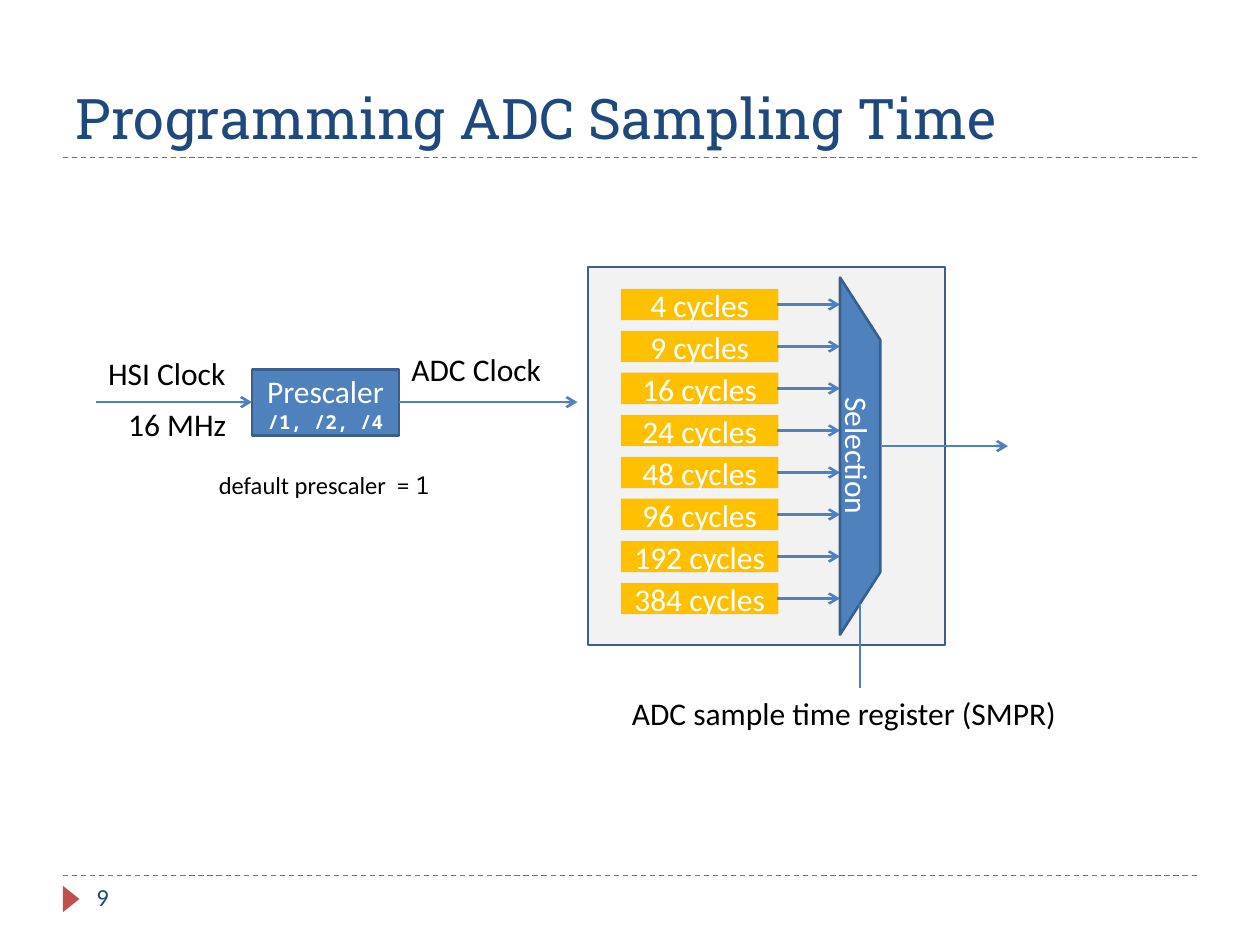
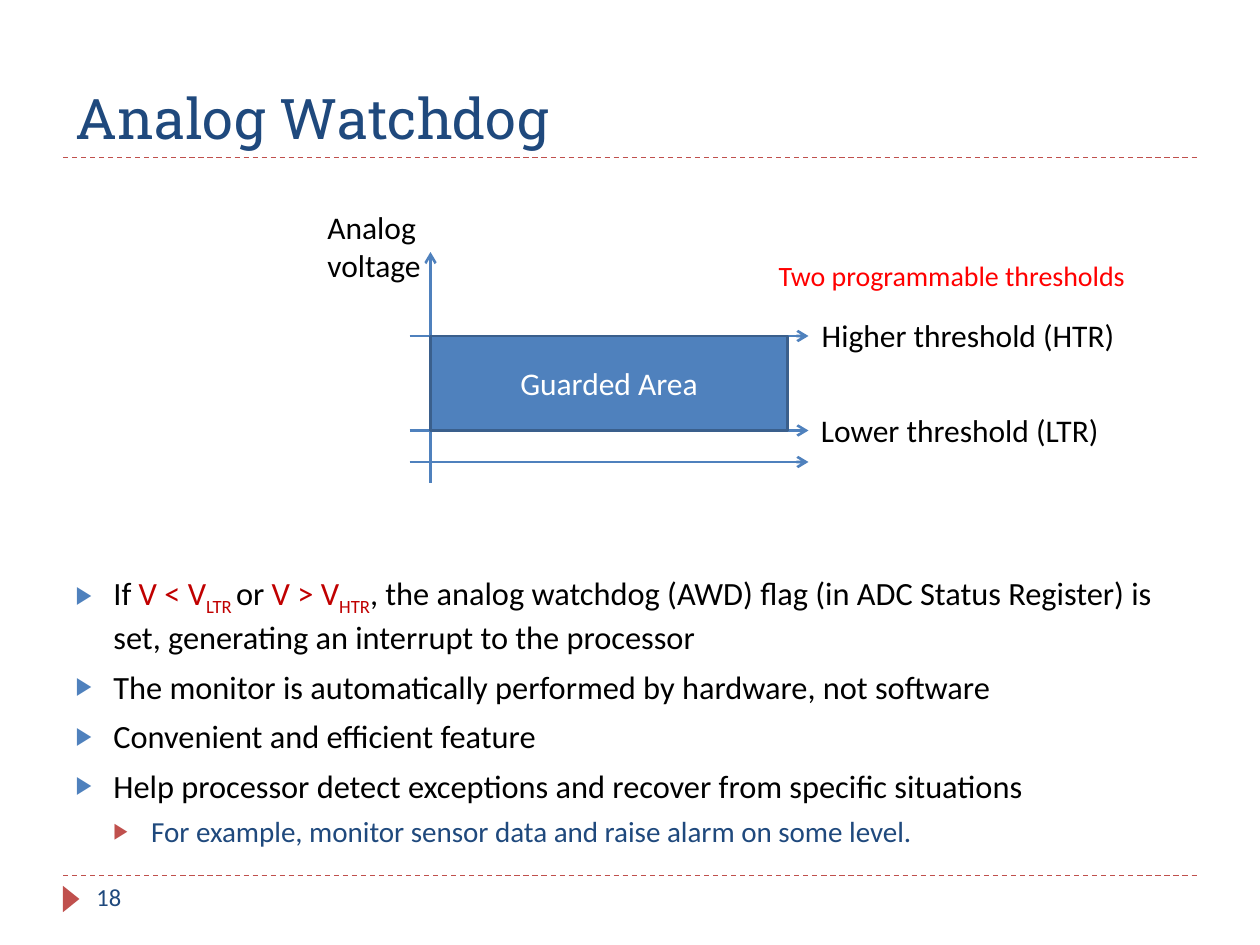
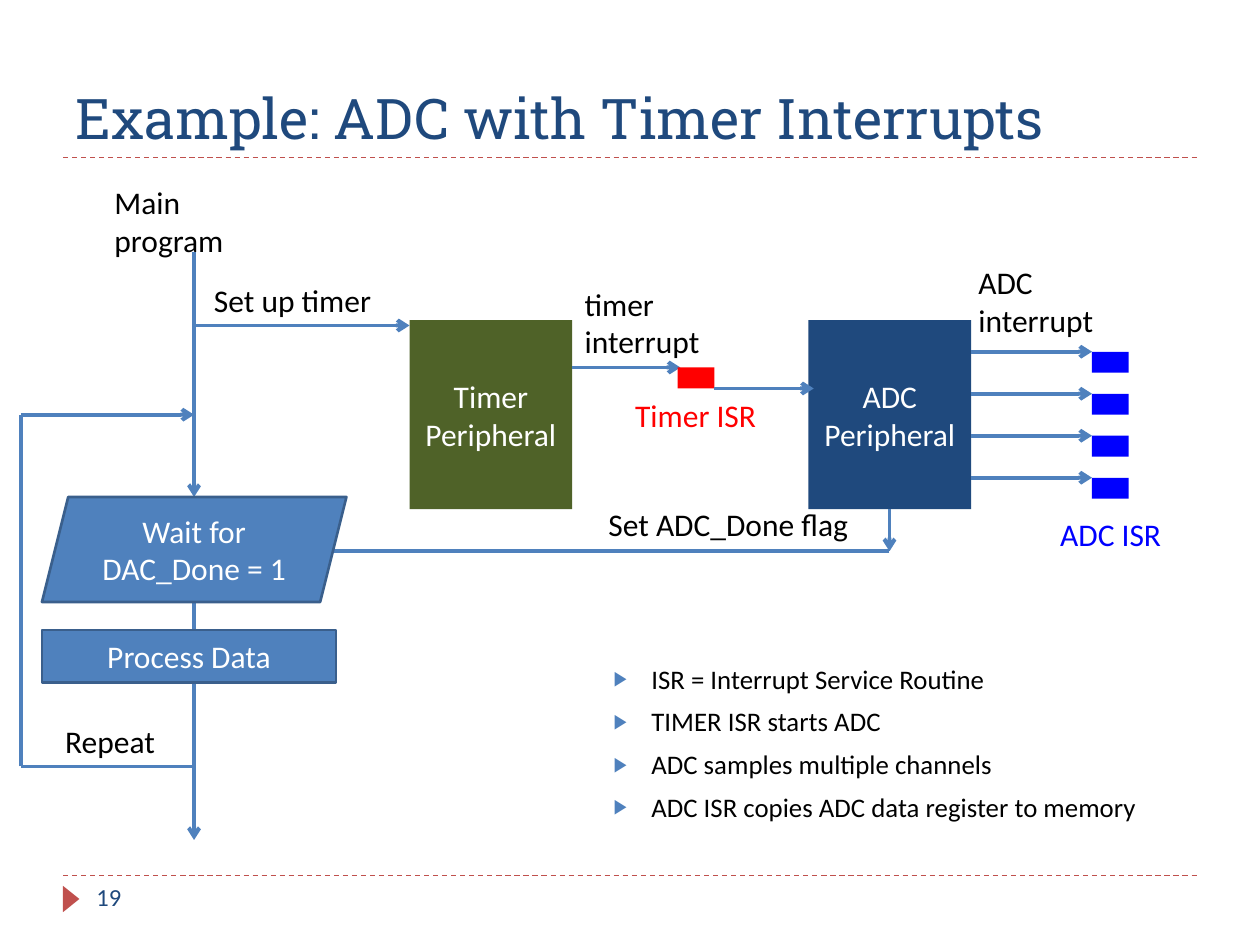
from dataclasses import dataclass

from lxml.etree import SubElement
from pptx import Presentation
from pptx.dml.color import RGBColor
from pptx.enum.dml import MSO_LINE
from pptx.enum.shapes import MSO_CONNECTOR, MSO_SHAPE
from pptx.enum.text import MSO_ANCHOR, MSO_AUTO_SIZE, PP_ALIGN
from pptx.oxml.ns import qn
from pptx.util import Pt


@dataclass(frozen=True)
class Theme:
    # Colours
    navy: str = "1F497D"
    blue: str = "4F81BD"
    edge: str = "3A5F8C"
    brick: str = "C0504D"
    crimson: str = "C00000"
    red: str = "FF0000"
    isr_blue: str = "0000FF"
    gold: str = "FFC000"
    olive: str = "4F6228"
    panel: str = "F2F2F2"
    black: str = "000000"
    white: str = "FFFFFF"
    # Fonts and type sizes
    sans: str = "Calibri"
    slab: str = "Roboto Slab"
    mono: str = "Noto Sans Mono"
    title: float = 32
    label: float = 18
    remark: float = 16
    small: float = 14
    code: float = 11
    # Line widths
    rule: float = 0.75
    thin: float = 1.5
    thick: float = 2.25


T = Theme()
TITLE_AND_BODY, TITLE_ONLY = 1, 5


def rgb(colour):
    return RGBColor.from_string(colour)


def style(font, size, colour, name=T.sans):
    font.name, font.size = name, Pt(size)
    font.color.rgb = rgb(colour)


def place(shape, left, top, width, height):
    shape.left, shape.top = Pt(left), Pt(top)
    shape.width, shape.height = Pt(width), Pt(height)


# --- Elements ---

def add_line(slide, x1, y1, x2, y2, colour=T.blue, width=T.thin, arrow=False, dash=None):
    link = slide.shapes.add_connector(MSO_CONNECTOR.STRAIGHT, Pt(x1), Pt(y1), Pt(x2), Pt(y2))
    link.line.color.rgb = rgb(colour)
    link.line.width = Pt(width)
    if dash:
        link.line.dash_style = dash
    properties = link._element.spPr
    if arrow:
        SubElement(properties.find(qn("a:ln")), qn("a:tailEnd"), type="arrow")
    SubElement(properties, qn("a:effectLst"))


def add_arrow(slide, x1, y1, x2, y2, width=T.thin):
    add_line(slide, x1, y1, x2, y2, width=width, arrow=True)


def add_block(slide, left, top, width, height, fill=T.blue, text="", edge=None,
              kind=MSO_SHAPE.RECTANGLE):
    block = slide.shapes.add_shape(kind, Pt(left), Pt(top), Pt(width), Pt(height))
    block.shadow.inherit = False
    block.fill.solid()
    block.fill.fore_color.rgb = rgb(fill)
    if edge:
        block.line.color.rgb = rgb(edge)
        block.line.width = Pt(T.thin)
    else:
        block.line.fill.background()
    if text:
        block.text_frame.text = text
        block.text_frame.vertical_anchor = MSO_ANCHOR.MIDDLE
        for paragraph in block.text_frame.paragraphs:
            paragraph.alignment = PP_ALIGN.CENTER
            style(paragraph.font, T.label, T.white)
    return block


def add_label(slide, text, left, top, width, height=28.8, size=T.label, colour=T.black,
              align=PP_ALIGN.LEFT):
    label = slide.shapes.add_textbox(Pt(left), Pt(top), Pt(width), Pt(height))
    label.text_frame.word_wrap = True
    paragraph = label.text_frame.paragraphs[0]
    paragraph.text = text
    paragraph.alignment = align
    style(paragraph.font, size, colour)
    return paragraph


def add_bullets(slide, bounds, items, sizes):
    """Each item is (level, runs); each run is (text, colour, is_subscript)."""
    body = slide.placeholders[1]
    place(body, *bounds)
    frame = body.text_frame
    frame.auto_size = MSO_AUTO_SIZE.NONE
    text_colours, marker_colours = (T.black, T.navy), (T.blue, T.brick)
    for index, (level, runs) in enumerate(items):
        paragraph = frame.paragraphs[0] if index == 0 else frame.add_paragraph()
        paragraph.level = level
        paragraph.space_before = Pt(6 - level)
        style(paragraph.font, sizes[level], text_colours[level])
        mark_bullet(paragraph, level, marker_colours[level])
        for text, colour, is_subscript in runs:
            run = paragraph.add_run()
            run.text = text
            if colour:
                run.font.color.rgb = rgb(colour)
            if is_subscript:
                run._r.get_or_add_rPr().set("baseline", "-25000")


def mark_bullet(paragraph, level, colour):
    properties = paragraph._p.get_or_add_pPr()
    indent = Pt(21.6)
    properties.set("marL", str(indent * (level + 1)))
    properties.set("indent", str(-indent))
    defaults = properties.find(qn("a:defRPr"))
    marker = SubElement(properties, qn("a:buClr"))
    SubElement(marker, qn("a:srgbClr"), val=colour)
    size = SubElement(properties, qn("a:buSzPct"), val="76000")
    glyph = SubElement(properties, qn("a:buChar"), char="▶")
    for part in (marker, size, glyph):
        defaults.addprevious(part)


def plain(text, level=0):
    return level, [(text, None, False)]


def start_slide(deck, layout, title, number):
    slide = deck.slides.add_slide(deck.slide_layouts[layout])
    # Rules and page marker
    for y in (500.4, 90):
        add_line(slide, 36, y, 684, y, T.brick, T.rule, dash=MSO_LINE.DASH)
    marker = add_block(slide, 33.1, 509, 15.1, 9.4, T.brick, kind=MSO_SHAPE.ISOSCELES_TRIANGLE)
    marker.rotation = 90
    add_label(slide, number, 48, 500.4, 156, size=T.small, colour=T.navy)
    # Title
    heading = slide.shapes.title
    place(heading, 36, 12.2, 648, 77.8)
    heading.text_frame.auto_size = MSO_AUTO_SIZE.NONE
    heading.text_frame.vertical_anchor = MSO_ANCHOR.BOTTOM
    paragraph = heading.text_frame.paragraphs[0]
    paragraph.text = title
    paragraph.alignment = PP_ALIGN.LEFT
    style(paragraph.font, T.title, T.navy, T.slab)
    return slide


# --- Slides ---

def build_sampling_time(deck):
    slide = start_slide(deck, TITLE_ONLY, "Programming ADC Sampling Time", "9")
    add_block(slide, 336, 152.7, 204, 216, T.panel, edge=T.edge)

    # Clock path
    prescaler = add_block(slide, 144, 211, 84, 38, text="Prescaler\n/1, /2, /4", edge=T.edge)
    divisors = prescaler.text_frame.paragraphs[1].font
    style(divisors, T.code, T.white, T.mono)
    divisors.bold = True
    add_arrow(slide, 54.7, 229.8, 144, 229.8)
    add_arrow(slide, 228, 229.8, 330, 229.8)
    add_label(slide, "HSI Clock", 54.7, 198.7, 89.3)
    add_label(slide, "16 MHz", 66.2, 228.2, 72.7)
    add_label(slide, "ADC Clock", 228, 196.6, 101.5)
    default = add_label(slide, "default prescaler  = ", 118, 265, 136, 24.5, T.small)
    factor = default.add_run()
    factor.text = "1"
    factor.font.name = T.mono

    # Sampling times feeding the selector
    for row, cycles in enumerate((4, 9, 16, 24, 48, 96, 192, 384)):
        top = 165 + 24 * row
        add_block(slide, 354.8, top, 90, 18, T.gold, f"{cycles} cycles")
        add_arrow(slide, 444, top + 9, 480, top + 9)
    selector = add_block(slide, 389.5, 249.1, 204, 23, text="Selection", edge=T.edge,
                         kind=MSO_SHAPE.TRAPEZOID)
    selector.adjustments[0] = 1.55
    selector.rotation = 90
    add_arrow(slide, 504, 254.9, 576, 254.9)
    add_line(slide, 491.5, 393, 491.5, 345)
    add_label(slide, "ADC sample time register (SMPR)", 354, 393, 274)


def build_watchdog(deck):
    slide = start_slide(deck, TITLE_AND_BODY, "Analog Watchdog", "18")
    add_bullets(slide, (36, 324, 648, 142.6), [
        (0, [("If ", None, False), ("V < V", T.crimson, False), ("LTR ", T.crimson, True),
             ("or ", None, False), ("V > V", T.crimson, False), ("HTR", T.crimson, True),
             (", the analog watchdog (AWD) flag (in ADC Status Register) is set, "
              "generating an interrupt to the processor", None, False)]),
        plain("The monitor is automatically performed by hardware, not software"),
        plain("Convenient and efficient feature"),
        plain("Help processor detect exceptions and recover from specific situations"),
        plain("For example, monitor sensor data and raise alarm on some level.", 1),
    ], (18.5, 16.6))

    # Axes, thresholds and guarded band
    high, low, time_axis = 192, 246, 264
    for y in (time_axis, low, high):
        add_arrow(slide, 234, y, 462, y)
    add_arrow(slide, 246, 276, 246, 144)
    add_block(slide, 246, high, 204, low - high, text="Guarded Area", edge=T.edge)
    add_label(slide, "Analog\vvoltage", 180, 115.2, 121.7)
    add_label(slide, "Higher threshold (HTR)", 462.5, high - 14.8, 191.5)
    add_label(slide, "Lower threshold (LTR)", 462, low - 14.8, 183)
    add_label(slide, "Two programmable thresholds", 437.8, 144, 214.6, 26.6, T.remark, T.red)


def build_timer_interrupts(deck):
    slide = start_slide(deck, TITLE_AND_BODY, "Example: ADC with Timer Interrupts", "19")
    add_bullets(slide, (343.4, 375, 330, 95.8), [
        plain("ISR = Interrupt Service Routine"),
        plain("TIMER ISR starts ADC"),
        plain("ADC samples multiple channels"),
        plain("ADC ISR copies ADC data register to memory"),
    ], (15.3,))
    main_x, loop_x, flag_x = 110.9, 12, 508.3

    # Peripherals
    add_block(slide, 234, 183, 93, 108, T.olive, "Timer\nPeripheral")
    add_block(slide, 462, 183, 93, 108, T.navy, "ADC\nPeripheral")

    # Interrupts and their service routines
    add_arrow(slide, main_x, 186, 234, 186, T.thick)
    add_arrow(slide, 327, 210, 388.8, 210, T.thick)
    add_block(slide, 387.2, 210, 21, 12, T.red)
    add_arrow(slide, 408.2, 222, 465, 222, T.thick)
    for channel in range(4):
        y = 201 + 24 * channel
        add_arrow(slide, 555, y, 624, y, T.thick)
        add_block(slide, 624, y, 21, 12, T.isr_blue)

    # Done flag back to the main program
    add_arrow(slide, flag_x, 315, 113.8, 315, T.thick)
    add_arrow(slide, flag_x, 291, flag_x, 315, T.thick)

    # Main program and its loop
    add_arrow(slide, main_x, 344, main_x, 480, T.thick)
    add_arrow(slide, main_x, 144, main_x, 284, T.thick)
    add_block(slide, 24, 284, 174, 60, text="Wait for DAC_Done = 1", edge=T.edge,
              kind=MSO_SHAPE.PARALLELOGRAM)
    add_block(slide, 24, 360, 168, 30, text="Process Data", edge=T.edge)
    add_line(slide, main_x, 438, loop_x, 438, width=T.thick)
    add_line(slide, loop_x, 438, loop_x, 237, width=T.thick)
    add_arrow(slide, loop_x, 237, main_x, 237, T.thick)

    # Labels
    add_label(slide, "Main\vprogram", 58.3, 101, 116.6)
    add_label(slide, "Set up timer", 115.2, 157, 105.8)
    add_label(slide, "timer interrupt", 327, 159.1, 80.6, 51)
    add_label(slide, "ADC interrupt", 552, 147, 85, 51)
    add_label(slide, "Timer ISR", 351.4, 222.5, 92.2, colour=T.red, align=PP_ALIGN.CENTER)
    add_label(slide, "ADC ISR", 593.3, 291, 82.8, colour=T.isr_blue, align=PP_ALIGN.CENTER)
    add_label(slide, "Set ADC_Done flag", 340.6, 285, 166.3)
    add_label(slide, "Repeat", 30.2, 409, 65.5)


def main():
    deck = Presentation()
    deck.slide_width, deck.slide_height = Pt(720), Pt(540)
    build_sampling_time(deck)
    build_watchdog(deck)
    build_timer_interrupts(deck)
    deck.save("out.pptx")


if __name__ == "__main__":
    main()
